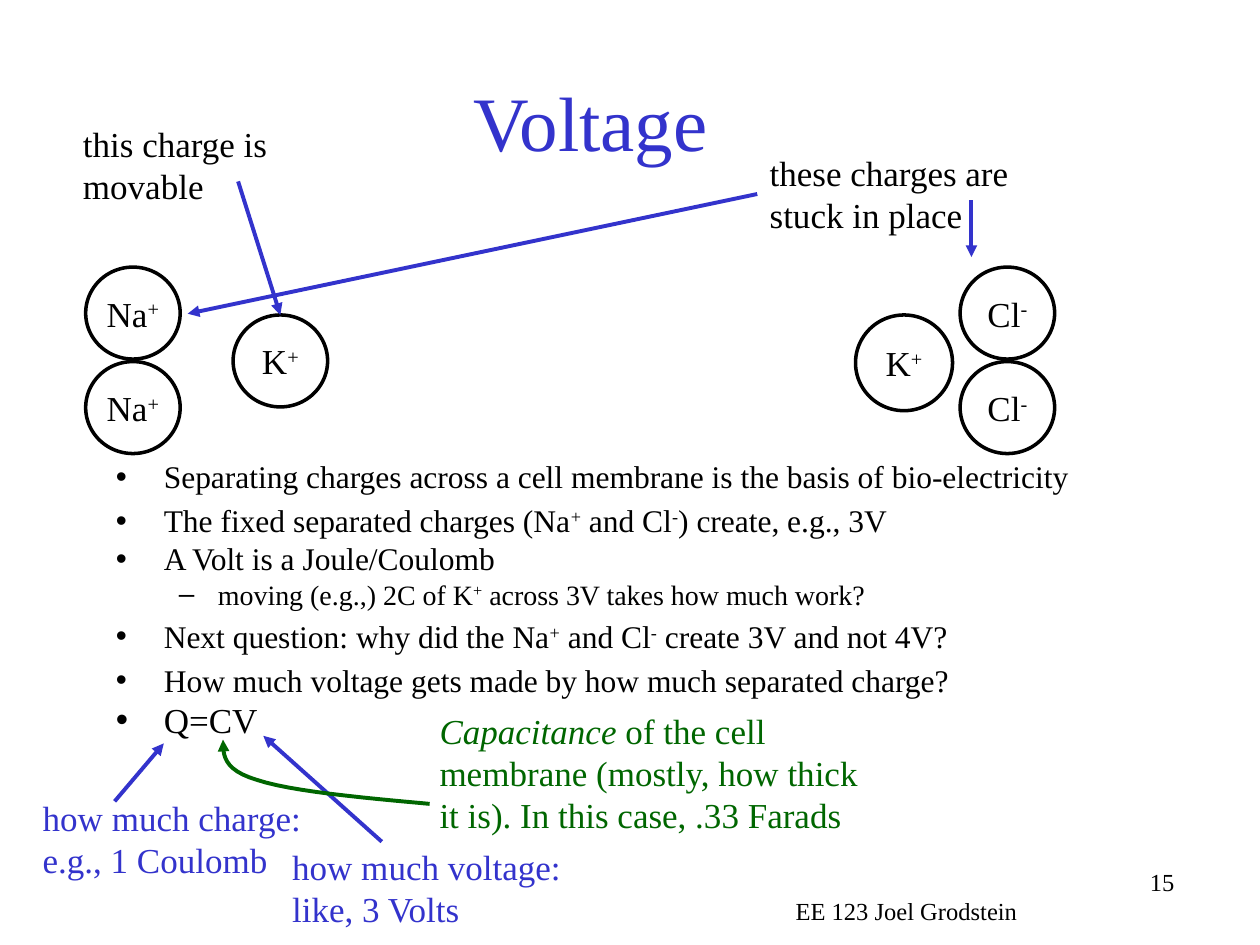
from dataclasses import dataclass
from typing import Optional

from lxml.etree import SubElement
from pptx import Presentation
from pptx.dml.color import RGBColor
from pptx.enum.shapes import MSO_CONNECTOR, MSO_SHAPE
from pptx.enum.text import MSO_ANCHOR, MSO_AUTO_SIZE, PP_ALIGN
from pptx.oxml.ns import qn
from pptx.util import Inches, Pt

COLUMNS, ROWS = 100, 75  # grid of square cells, a tenth of an inch each


@dataclass(frozen=True)
class Theme:
    font: str = "Times New Roman"
    ink: RGBColor = RGBColor(0x00, 0x00, 0x00)
    accent: RGBColor = RGBColor(0x33, 0x33, 0xCC)
    green: RGBColor = RGBColor(0x00, 0x66, 0x00)
    title: int = 44
    label: int = 20
    bullet: int = 18
    detail: int = 16
    footer: int = 14
    outline: float = 2
    arrow: float = 2.25


THEME = Theme()


@dataclass(frozen=True)
class Ion:
    left: float
    top: float
    text: str
    width: float = 7.5
    height: float = 7.3


@dataclass(frozen=True)
class Note:
    left: float
    top: float
    width: float
    height: float
    text: str
    color: RGBColor = THEME.ink
    size: int = THEME.label
    align: Optional[PP_ALIGN] = None
    grows: bool = True
    lead: str = ""  # opening words in italics


@dataclass(frozen=True)
class Arrow:
    start: tuple[float, float]
    end: tuple[float, float]
    target: Optional[str] = None  # ion whose top the arrow meets


@dataclass(frozen=True)
class Bullet:
    text: str
    size: int = THEME.bullet
    level: int = 0
    spaced: bool = True


# Content: ^ switches superscript on and off
IONS = {
    "right potassium": Ion(67.9, 25, "K^+", 7.7, 7.6),
    "left potassium": Ion(18.5, 25, "K^+"),
    "upper sodium": Ion(6.8, 21.2, "Na^+"),
    "lower sodium": Ion(6.8, 28.7, "Na^+"),
    "upper chloride": Ion(76.2, 21.2, "Cl^-"),
    "lower chloride": Ion(76.2, 28.7, "Cl^-"),
}
NOTES = [
    Note(62.5, 68.3, 31.7, 5, "15", size=THEME.footer, align=PP_ALIGN.RIGHT, grows=False),
    Note(56.1, 70.6, 31.7, 3.4, "EE 123 Joel Grodstein", size=THEME.footer, align=PP_ALIGN.CENTER),
    Note(60.1, 11.5, 26.1, 7.7, "these charges are stuck in place"),
    Note(5.6, 9.2, 18.9, 7.7, "this charge is movable"),
    Note(2.4, 62.7, 26.1, 7.7, "how much charge: e.g., 1 Coulomb", THEME.accent),
    Note(22.2, 66.6, 26.1, 7.7, "how much voltage: like, 3 Volts", THEME.accent),
    Note(33.9, 55.8, 35.6, 11.1,
         " of the cell membrane (mostly, how thick it is). In this case, .33 Farads",
         THEME.green, lead="Capacitance"),
]
ARROWS = [
    Arrow((18.9, 14.4), (22.3, 25), "left potassium"),
    Arrow((77.1, 15.9), (77.1, 20.4)),
    Arrow((60.1, 15.4), (14.9, 24.9)),
    Arrow((9.1, 63.6), (13, 59)),
    Arrow((30.3, 66.8), (20.9, 58.4)),
]
# Two cubic curves, each with start, two controls and end
CAPACITANCE_CURVES = [
    ((34.1, 63.8), (28.6, 63.3), (23.1, 62.8), (20.4, 61.9)),
    ((20.4, 61.9), (17.7, 61.1), (17.7, 59.9), (17.7, 58.7)),
]
BULLETS = [
    Bullet("Separating charges across a cell membrane is the basis of bio-electricity", spaced=False),
    Bullet("The fixed separated charges (Na^+^ and Cl^-^) create, e.g., 3V"),
    Bullet("A Volt is a Joule/Coulomb", spaced=False),
    Bullet("moving (e.g.,) 2C of K^+^ across 3V takes how much work?", THEME.detail, 1, False),
    Bullet("Next question: why did the Na^+^ and Cl^-^ create 3V and not 4V?"),
    Bullet("How much voltage gets made by how much separated charge?"),
    Bullet("Q=CV", THEME.label, spaced=False),
]
INDENTS = [(0.38, -0.38), (0.81, -0.31)]  # inches: text, then bullet offset

presentation = Presentation()
cell = Inches(0.1)
presentation.slide_width = COLUMNS * cell
presentation.slide_height = ROWS * cell
slide = presentation.slides.add_slide(presentation.slide_layouts[1])


def grid(*values: float) -> list[int]:
    return [round(value * cell) for value in values]


def write(paragraph, text: str, size: int, color: RGBColor = THEME.ink) -> None:
    for index, part in enumerate(text.split("^")):
        if part:
            run = paragraph.add_run()
            run.text = part
            if index % 2:
                run.font._element.set("baseline", "30000")
    paragraph.font.name = THEME.font
    paragraph.font.size = Pt(size)
    paragraph.font.color.rgb = color


def place(shape, left: float, top: float, width: float, height: float) -> None:
    shape.left, shape.top, shape.width, shape.height = grid(left, top, width, height)
    shape.text_frame.auto_size = MSO_AUTO_SIZE.NONE


def style_arrow(line, color: RGBColor) -> None:
    line.color.rgb = color
    line.width = Pt(THEME.arrow)
    SubElement(line._get_or_add_ln(), qn("a:tailEnd"), type="triangle")


def draw_ion(ion: Ion):
    shape = slide.shapes.add_shape(
        MSO_SHAPE.OVAL, *grid(ion.left, ion.top, ion.width, ion.height))
    shape.shadow.inherit = False
    shape.fill.background()
    shape.line.color.rgb = THEME.ink
    shape.line.width = Pt(THEME.outline)
    frame = shape.text_frame
    frame.margin_left = frame.margin_top = frame.margin_right = frame.margin_bottom = 0
    frame.vertical_anchor = MSO_ANCHOR.MIDDLE
    frame.paragraphs[0].alignment = PP_ALIGN.CENTER
    write(frame.paragraphs[0], ion.text, THEME.label)
    return shape


def draw_note(note: Note) -> None:
    frame = slide.shapes.add_textbox(
        *grid(note.left, note.top, note.width, note.height)).text_frame
    frame.word_wrap = True
    frame.auto_size = MSO_AUTO_SIZE.SHAPE_TO_FIT_TEXT if note.grows else MSO_AUTO_SIZE.NONE
    paragraph = frame.paragraphs[0]
    paragraph.alignment = note.align
    if note.lead:
        run = paragraph.add_run()
        run.text = note.lead
        run.font.italic = True
    write(paragraph, note.text, note.size, note.color)


def draw_arrow(arrow: Arrow, ions: dict) -> None:
    connector = slide.shapes.add_connector(
        MSO_CONNECTOR.STRAIGHT, *grid(*arrow.start, *arrow.end))
    if arrow.target:
        connector.end_connect(ions[arrow.target], 0)
    style_arrow(connector.line, THEME.accent)
    SubElement(connector._element.spPr, qn("a:effectLst"))


def curve_points(curve: tuple, steps: int = 12) -> list[tuple[int, int]]:
    points = []
    for step in range(1, steps + 1):
        t = step / steps
        weights = ((1 - t) ** 3, 3 * t * (1 - t) ** 2, 3 * t * t * (1 - t), t ** 3)
        points.append(tuple(grid(*(
            sum(weight * point[axis] for weight, point in zip(weights, curve))
            for axis in (0, 1)))))
    return points


# Title
title = slide.shapes.title
place(title, 4.4, 3.3, 85, 12.5)
title.text_frame.vertical_anchor = MSO_ANCHOR.MIDDLE
title.text_frame.paragraphs[0].alignment = PP_ALIGN.CENTER
write(title.text_frame.paragraphs[0], "Voltage", THEME.title, THEME.accent)

# Bullet list
body = slide.placeholders[1]
place(body, 8.2, 35.8, 79, 24.2)
for index, bullet in enumerate(BULLETS):
    frame = body.text_frame
    paragraph = frame.add_paragraph() if index else frame.paragraphs[0]
    paragraph.level = bullet.level
    paragraph.space_before = Pt(0.2 * bullet.size if bullet.spaced else 0)
    margin, offset = INDENTS[bullet.level]
    properties = paragraph._p.get_or_add_pPr()
    properties.set("marL", str(Inches(margin)))
    properties.set("indent", str(Inches(offset)))
    write(paragraph, bullet.text, bullet.size)

# Ions, notes and straight arrows
ion_shapes = {name: draw_ion(ion) for name, ion in IONS.items()}
for note in NOTES:
    draw_note(note)
for arrow in ARROWS:
    draw_arrow(arrow, ion_shapes)

# Curved arrow from the capacitance note
builder = slide.shapes.build_freeform(*grid(*CAPACITANCE_CURVES[0][0]))
for curve in CAPACITANCE_CURVES:
    builder.add_line_segments(curve_points(curve), close=False)
curved_arrow = builder.convert_to_shape()
curved_arrow.shadow.inherit = False
curved_arrow.fill.background()
style_arrow(curved_arrow.line, THEME.green)

presentation.save("out.pptx")
